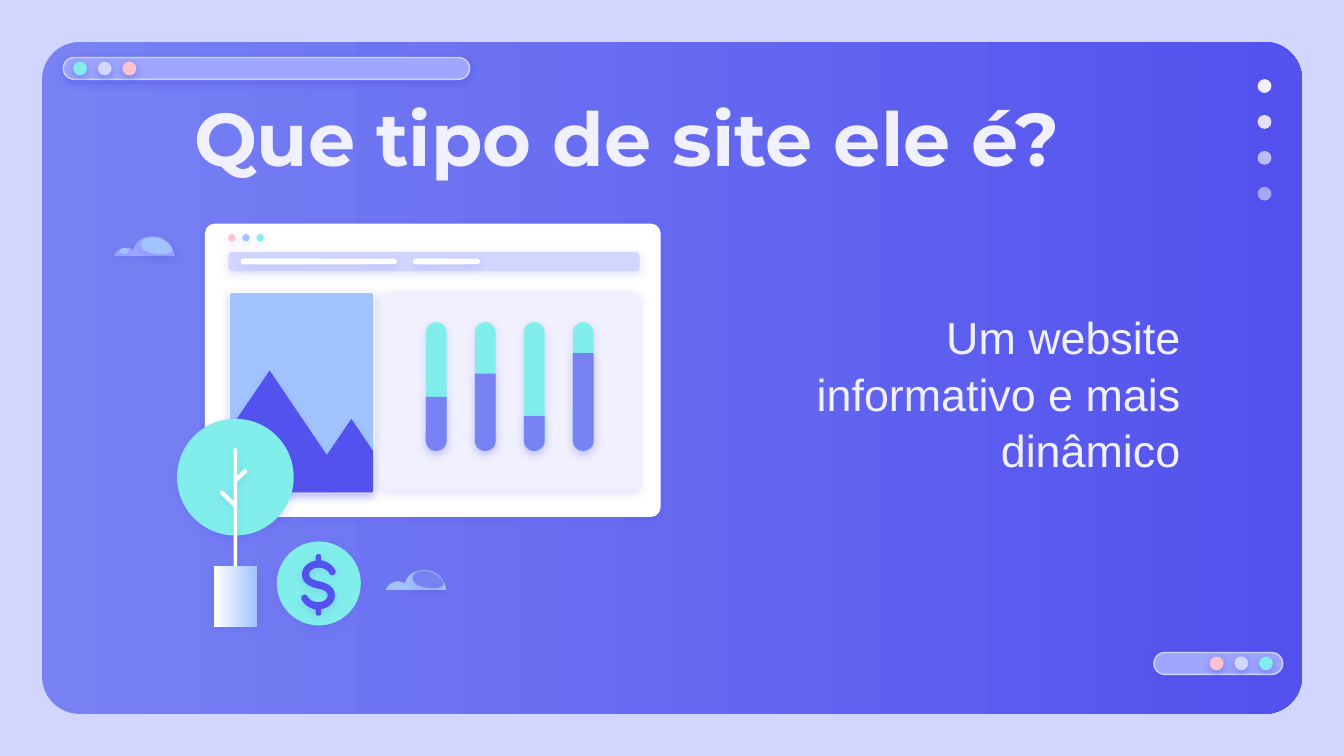
from lxml.etree import SubElement
from pptx import Presentation
from pptx.dml.color import RGBColor
from pptx.enum.shapes import MSO_SHAPE
from pptx.enum.text import MSO_ANCHOR, PP_ALIGN
from pptx.oxml.ns import qn
from pptx.util import Pt

LAVENDER = RGBColor(0xD2, 0xD6, 0xFF)
INDIGO = RGBColor(0x53, 0x52, 0xEE)
PERIWINKLE = RGBColor(0x78, 0x82, 0xF3)
LILAC = RGBColor(0x9E, 0xA6, 0xFF)
AQUA = RGBColor(0x81, 0xEE, 0xEB)
PINK = RGBColor(0xFF, 0xC3, 0xD0)
SKY = RGBColor(0xA1, 0xC3, 0xFF)
PALE = RGBColor(0xF1, 0xF0, 0xFF)
WHITE = RGBColor(0xFF, 0xFF, 0xFF)

# text, box (left, top, width, height), font, size, bold, anchor, line spacing
TEXTS = [
    ("Que tipo de site ele é?", (75.6, 41.8, 499, 45.4), "Montserrat", 40, True,
     MSO_ANCHOR.TOP, 1),
    ("Um website informativo e mais dinâmico", (378.7, 162, 260.6, 95.8), "Arial", 24, False,
     MSO_ANCHOR.MIDDLE, 1.05),
]
PILLS = [(33.9, 30.8, 217.7, 11.7), (618.2, 349.6, 69, 11.7)]
# first centre, step between centres, colours with opacity in percent
DOT_ROWS = [
    ((42.9, 36.7), (13.2, 0), [(AQUA, 100), (LAVENDER, 100), (PINK, 100)]),
    ((678.2, 355.4), (-13.2, 0), [(AQUA, 100), (LAVENDER, 100), (PINK, 100)]),
    ((677.4, 46.1), (0, 19.23), [(PALE, 100), (PALE, 90), (PALE, 67), (PALE, 54)]),
]
# left, top, width, height, corner radius, colour
WINDOW_PARTS = [
    (109.8, 119.8, 244.1, 157.2, 5.2, WHITE),
    (122.4, 156.2, 78.5, 108.5, 1.6, WHITE),
    (123.3, 157, 76.6, 106.8, 1, SKY),
]
WINDOW_BARS = [
    (122.4, 134.9, 220.3, 10.4, 2.2, LAVENDER),
    (128.9, 138.5, 83.7, 3.1, 1.55, WHITE),
    (221.2, 138.5, 36, 3.1, 1.55, WHITE),
]
WINDOW_DOTS = ((124.2, 127.4), 7.6, [PINK, SKY, AQUA])
CHART_CARD = (203.6, 156.2, 139.1, 106.4, 4.4, PALE)
BAR_LEFT, BAR_STEP, BAR_WIDTH, BAR_TOP, BAR_HEIGHT = 228.1, 26.25, 11.2, 172.6, 69
BAR_SHARES = [0.42, 0.6, 0.27, 0.76]

# Outlines: a pair is a straight step, six numbers are a cubic curve.
MOUNTAINS = [(144.5, 198.5), (123.3, 229.7), (123.3, 262.8), (123.3, 263.4, 123.7, 263.8, 124.3, 263.8),
             (198.9, 263.8), (199.5, 263.8, 199.9, 263.4, 199.9, 262.8), (199.9, 241.7),
             (188.3, 224.4), (175.1, 243.8)]
TREE = [(126.1, 239.8), (125.2, 240.8), (125.2, 268.5), (119.6, 263), (118, 262.9),
        (117.9, 264.5), (125.2, 271.6), (125.2, 308), (126.1, 308.9), (127.1, 308),
        (127.1, 258), (132.4, 253.1), (132.3, 251.3), (130.7, 251.4), (127.1, 255), (127.1, 240.8)]
CLOUD = [(0, 10.6), (0.8, 8.2, 2.3, 7, 4.3, 6.5), (5, 6.1, 5.6, 6, 6, 6),
         (7.8, 6, 9.2, 6.5, 10.2, 7.2), (10.8, 5, 12, 3, 13.7, 1.9),
         (15.8, 0.6, 18.2, 0, 20.7, 0), (22.6, 0, 24.4, 0.3, 26, 1.1),
         (29.6, 3, 31.7, 6.2, 32.4, 10.5)]
CLOUD_SHEEN = [(20.4, 0.4), (18.4, 0.4, 16.4, 0.9, 15.1, 2.1), (14.2, 3.2, 14.3, 4.6, 14.8, 5.9),
               (15.4, 7, 16.4, 7.6, 17.5, 8), (20.2, 9.2, 23, 9.6, 25.9, 9.6),
               (27.8, 9.6, 30.4, 9, 31, 7.4), (31.2, 6.5, 30.6, 5.6, 29.9, 4.8),
               (27.5, 2, 24.2, 0.4, 20.4, 0.4)]
CLOUDS = [((61.2, 126.7), LILAC, SKY), ((206.7, 305.5), SKY, PERIWINKLE)]
HALF_DOLLAR = [(0, -16.5), (-0.9, -16.5, -1.5, -16, -1.5, -14.6), (-1.5, -13),
               (-3.6, -12.6, -5.2, -11.8, -6.6, -10.6), (-8, -9.2, -8.8, -7.6, -8.8, -5.6),
               (-8.8, -3.6, -8, -2, -6.6, -0.8), (-5, 0.6, -2.9, 1.4, -0.2, 2),
               (2, 2.5, 2.6, 2.7, 3.4, 3.2), (4.4, 3.8, 4.9, 4.6, 4.9, 5.6),
               (4.9, 6.7, 4.4, 7.6, 3.4, 8.2), (2.5, 8.9, 1.4, 9.2, 0, 9.2),
               (-2.4, 9.2, -4.4, 8.4, -5.6, 6.6), (-6.1, 5.6, -6.6, 5.2, -7.2, 5.2),
               (-8.4, 5.2, -9.2, 6, -9.2, 7), (-9.2, 7.6, -9, 8, -8.6, 8.6),
               (-7, 11, -4.6, 12.6, -1.5, 13.2), (-1.5, 14.8), (-1.5, 16, -0.9, 16.5, 0, 16.5)]
COIN_CENTRE = (170.8, 312.6)

deck = Presentation()
deck.slide_width, deck.slide_height = Pt(720), Pt(405)
page = deck.slides.add_slide(deck.slide_layouts[6])
page.background.fill.solid()
page.background.fill.fore_color.rgb = LAVENDER


def set_alpha(color, percent):
    SubElement(color, qn("a:alpha")).set("val", str(percent * 1000))


def paint(shape, fill, shadow=17, opacity=100):
    """Fill with one colour, or a left-to-right gradient for a pair; shadow is its opacity."""
    if isinstance(fill, list):
        shape.fill.gradient()
        shape.fill.gradient_angle = 0
        for stop, color in zip(shape.fill.gradient_stops, fill):
            stop.color.rgb = color
    else:
        shape.fill.solid()
        shape.fill.fore_color.rgb = fill
        if opacity < 100:
            set_alpha(shape._element.spPr.find(".//" + qn("a:srgbClr")), opacity)
    shape.line.fill.background()
    shape.shadow.inherit = False
    if shadow:
        effects = shape._element.spPr.find(qn("a:effectLst"))
        outer = SubElement(effects, qn("a:outerShdw"), blurRad=str(Pt(4.5)), dist=str(Pt(1.5)),
                           dir="5400000", algn="bl", rotWithShape="0")
        color = SubElement(outer, qn("a:srgbClr"), val=str(INDIGO))
        set_alpha(color, shadow)
    return shape


def add_preset(kind, box, fill, **options):
    return paint(page.shapes.add_shape(kind, *map(Pt, box)), fill, **options)


def add_rounded(left, top, width, height, radius, fill, **options):
    shape = add_preset(MSO_SHAPE.ROUNDED_RECTANGLE, (left, top, width, height), fill, **options)
    shape.adjustments[0] = radius / min(width, height)
    return shape


def add_disc(x, y, size, fill, **options):
    add_preset(MSO_SHAPE.OVAL, (x - size / 2, y - size / 2, size, size), fill, **options)


def flatten(outline, steps=8):
    """Turn lines and cubic curves into a list of points."""
    points = [outline[0]]
    for part in outline[1:]:
        if len(part) == 2:
            points.append(part)
            continue
        corners = [points[-1], part[:2], part[2:4], part[4:]]
        for step in range(1, steps + 1):
            t = step / steps
            weights = ((1 - t) ** 3, 3 * t * (1 - t) ** 2, 3 * t * t * (1 - t), t ** 3)
            points.append(tuple(sum(w * c[axis] for w, c in zip(weights, corners))
                                for axis in (0, 1)))
    return points


def add_outline(points, fill, origin=(0, 0)):
    places = [(Pt(origin[0] + x), Pt(origin[1] + y)) for x, y in points]
    builder = page.shapes.build_freeform(*places[0], scale=1.0)
    builder.add_line_segments(places[1:], close=True)
    paint(builder.convert_to_shape(), fill)


# Panel, pills and dots
add_rounded(22.5, 22.5, 675, 360, 20.2, [PERIWINKLE, INDIGO], shadow=0)
for left, top, width, height in PILLS:
    pill = add_rounded(left, top, width, height, height / 2, LILAC, shadow=50)
    pill.line.color.rgb = LAVENDER
    pill.line.width = Pt(0.75)
for (x, y), (step_x, step_y), dots in DOT_ROWS:
    for i, (color, opacity) in enumerate(dots):
        add_disc(x + i * step_x, y + i * step_y, 7.4, color, shadow=50, opacity=opacity)

# Texts
for text, box, font, size, bold, anchor, spacing in TEXTS:
    frame = page.shapes.add_textbox(*map(Pt, box)).text_frame
    frame.word_wrap = True
    frame.vertical_anchor = anchor
    frame.margin_left = frame.margin_right = frame.margin_top = frame.margin_bottom = Pt(7.2)
    para = frame.paragraphs[0]
    para.text = text
    para.alignment = PP_ALIGN.RIGHT
    para.line_spacing = spacing
    para.font.name, para.font.size, para.font.bold = font, Pt(size), bold
    para.font.color.rgb = PALE

# Browser window
add_disc(*COIN_CENTRE, 45, AQUA)
for part in WINDOW_PARTS:
    add_rounded(*part)
add_outline(flatten(MOUNTAINS), INDIGO)
for bar in WINDOW_BARS:
    add_rounded(*bar)
(x, y), step, colors = WINDOW_DOTS
for i, color in enumerate(colors):
    add_disc(x + i * step, y, 3.9, color)
add_rounded(*CHART_CARD)
for i, share in enumerate(BAR_SHARES):
    left, filled = BAR_LEFT + i * BAR_STEP, BAR_HEIGHT * share
    add_rounded(left, BAR_TOP, BAR_WIDTH, BAR_HEIGHT, BAR_WIDTH / 2, AQUA)
    level = add_preset(MSO_SHAPE.ROUND_2_SAME_RECTANGLE,
                       (left, BAR_TOP + BAR_HEIGHT - filled, BAR_WIDTH, filled), PERIWINKLE)
    level.adjustments[0], level.adjustments[1] = 0, 0.5

# Tree, coin sign and clouds
add_disc(126.1, 255.6, 62.5, AQUA)
add_outline(TREE, WHITE)
add_preset(MSO_SHAPE.RECTANGLE, (114.6, 303.2, 23.1, 32.8), [WHITE, SKY])
half = flatten(HALF_DOLLAR)
add_outline(half + [(-x, -y) for x, y in half[1:-1]], INDIGO, (170.6, 313.4))
for origin, body, sheen in CLOUDS:
    add_outline(flatten(CLOUD), body, origin)
    add_outline(flatten(CLOUD_SHEEN), sheen, origin)
add_preset(MSO_SHAPE.OVAL, (64.1, 132.9, 5, 3.2), SKY)

deck.save("out.pptx")
